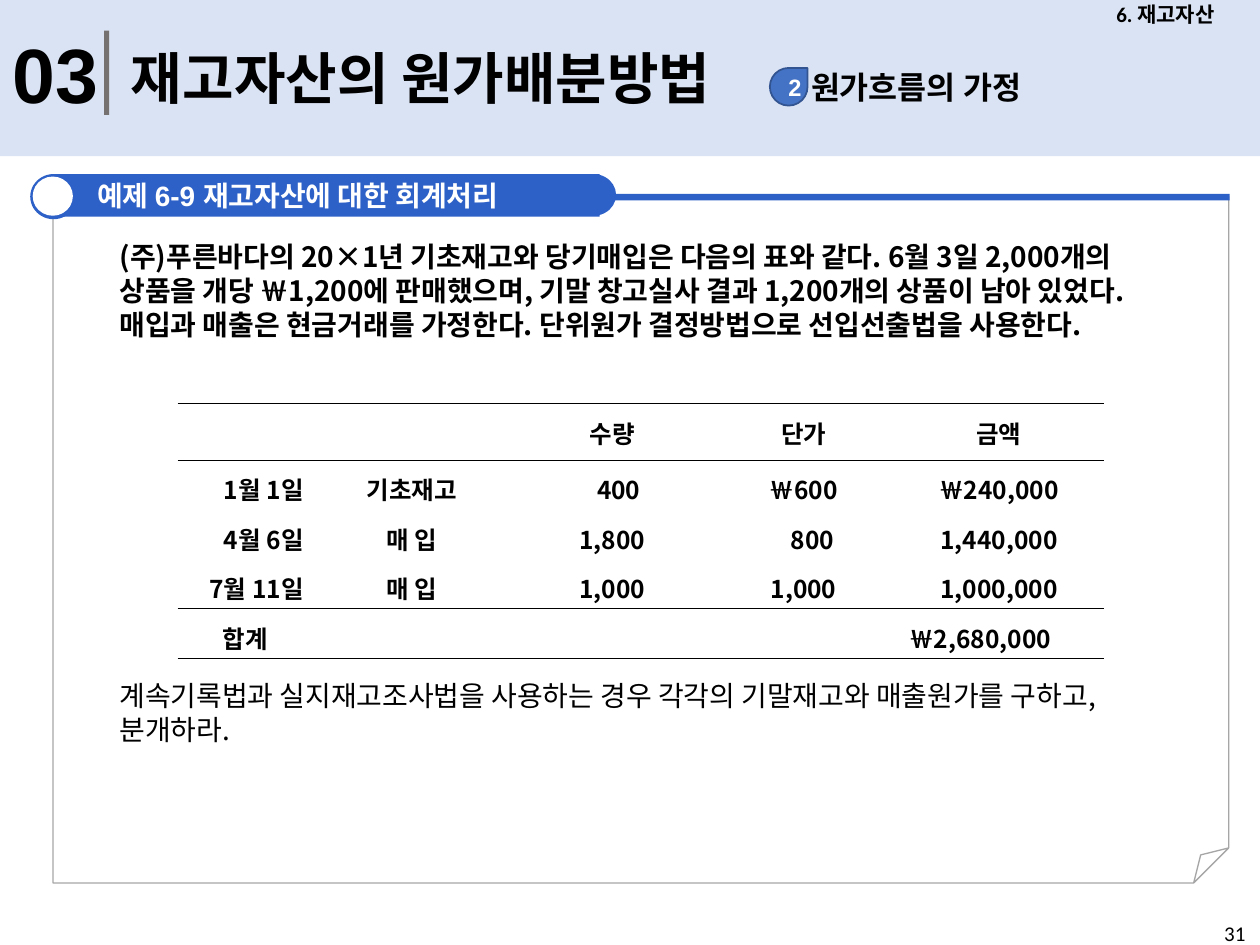
from dataclasses import dataclass
from typing import Optional

from lxml import etree
from pptx import Presentation
from pptx.dml.color import RGBColor
from pptx.enum.shapes import MSO_SHAPE
from pptx.enum.text import MSO_ANCHOR, MSO_AUTO_SIZE, PP_ALIGN
from pptx.oxml.ns import qn
from pptx.util import Cm, Pt

LEFT, CENTER, RIGHT = PP_ALIGN.LEFT, PP_ALIGN.CENTER, PP_ALIGN.RIGHT
TOP, MIDDLE = MSO_ANCHOR.TOP, MSO_ANCHOR.MIDDLE
RECT, OVAL = MSO_SHAPE.RECTANGLE, MSO_SHAPE.OVAL
TEARDROP, FOLDED = MSO_SHAPE.TEAR, MSO_SHAPE.FOLDED_CORNER
NO_AUTOFIT = MSO_AUTO_SIZE.NONE

COLORS = {
    "header": "DAE3F3", "badge": "4472C4", "badge_edge": "325491", "divider": "767171",
    "page_edge": "A6A6A6", "accent": "2D61C8", "white": "FFFFFF", "black": "000000",
}
KOREAN = "Noto Sans CJK KR"
INSETS = (0.25, 0.13, 0.25, 0.13)


@dataclass
class Box:
    left: float
    top: float
    width: float
    height: float

    def lengths(self):
        return Cm(self.left), Cm(self.top), Cm(self.width), Cm(self.height)


@dataclass
class Style:
    size: float
    font: str = KOREAN
    color: str = "black"
    bold: bool = True
    align: PP_ALIGN = LEFT
    spacing: Optional[float] = None


@dataclass
class Panel:
    kind: MSO_SHAPE
    box: Box
    fill: Optional[str] = None
    edge: Optional[str] = None
    edge_width: float = 0.75


def rgb(name: str) -> RGBColor:
    return RGBColor.from_string(COLORS[name])


def style_paragraph(paragraph, style: Style) -> None:
    paragraph.alignment = style.align
    if style.spacing:
        paragraph.line_spacing = Pt(style.spacing)
    font = paragraph.font
    font.size, font.bold, font.name = Pt(style.size), style.bold, style.font
    font.color.rgb = rgb(style.color)
    defaults = paragraph._p.pPr.find(qn("a:defRPr"))
    etree.SubElement(defaults, qn("a:ea")).set("typeface", KOREAN)


def set_frame(frame, insets=INSETS, anchor=TOP, wrap=True) -> None:
    frame.auto_size = NO_AUTOFIT
    frame.word_wrap = wrap
    frame.vertical_anchor = anchor
    (frame.margin_left, frame.margin_top,
     frame.margin_right, frame.margin_bottom) = map(Cm, insets)


def write(shape, text: str, style: Style, insets=INSETS, anchor=TOP, wrap=True) -> None:
    set_frame(shape.text_frame, insets, anchor, wrap)
    shape.text_frame.text = text
    style_paragraph(shape.text_frame.paragraphs[0], style)


def add_label(slide, box: Box, text: str, style: Style, anchor=TOP, wrap=True) -> None:
    write(slide.shapes.add_textbox(*box.lengths()), text, style, anchor=anchor, wrap=wrap)


def add_panel(slide, panel: Panel):
    shape = slide.shapes.add_shape(panel.kind, *panel.box.lengths())
    shape.shadow.inherit = False
    if panel.fill:
        shape.fill.solid()
        shape.fill.fore_color.rgb = rgb(panel.fill)
    else:
        shape.fill.background()
    if panel.edge:
        shape.line.color.rgb = rgb(panel.edge)
        shape.line.width = Pt(panel.edge_width)
    else:
        shape.line.fill.background()
    return shape


def set_fold(page, size: int) -> None:
    adjustments = page.element.spPr.find(qn("a:prstGeom")).get_or_add_avLst()
    etree.SubElement(adjustments, qn("a:gd"), name="adj", fmla=f"val {size}")


def place(placeholder, box: Box) -> None:
    placeholder.left, placeholder.top, placeholder.width, placeholder.height = box.lengths()
    placeholder.element.getparent().append(placeholder.element)


def set_borders(cell, ruled_sides: str) -> None:
    properties = cell._tc.get_or_add_tcPr()
    for position, side in enumerate("LRTB"):
        line = etree.Element(qn(f"a:ln{side}"), w=str(Pt(0.28)))
        if side in ruled_sides:
            fill = etree.SubElement(line, qn("a:solidFill"))
            etree.SubElement(fill, qn("a:srgbClr")).set("val", COLORS["black"])
        else:
            etree.SubElement(line, qn("a:noFill"))
        properties.insert(position, line)


INVENTORY = [
    ("", "", "수량", "단가", "금액"),
    ("1월 1일", "기초재고", "400", "￦600", "￦240,000"),
    ("4월 6일", "매 입", "1,800", "800", "1,440,000"),
    ("7월 11일", "매 입", "1,000", "1,000", "1,000,000"),
    ("합계", "", "", "", "￦2,680,000"),
]
COLUMN_WIDTHS = (2.72, 4.01, 4.06, 3.66, 4.22)
ROW_HEIGHTS = (1.14, 1, 1, 1, 1)
RULED_SIDES = ("TB", "T", "", "B", "TB")
LEFT_MARGINS = {(1, 2): 0.45, (2, 3): 0.54, (4, 4): 0.3}
ALIGNMENTS = {(1, 0): RIGHT, (2, 0): RIGHT, (3, 0): RIGHT, (4, 4): LEFT}


def add_inventory(slide, box: Box) -> None:
    table = slide.shapes.add_table(len(INVENTORY), len(COLUMN_WIDTHS), *box.lengths()).table
    table.first_row = table.horz_banding = False
    for column, width in zip(table.columns, COLUMN_WIDTHS):
        column.width = Cm(width)
    for r, (values, height) in enumerate(zip(INVENTORY, ROW_HEIGHTS)):
        table.rows[r].height = Cm(height)
        spacing = 21.8 if r == 0 else 25.3
        for c, value in enumerate(values):
            cell = table.cell(r, c)
            cell.fill.background()
            set_borders(cell, RULED_SIDES[r])
            cell.vertical_anchor = MIDDLE
            cell.margin_left = Cm(LEFT_MARGINS.get((r, c), 0.18))
            cell.margin_right = Cm(0.18)
            cell.margin_top = cell.margin_bottom = Cm(0.05)
            cell.text = value
            style = Style(14, align=ALIGNMENTS.get((r, c), CENTER), spacing=spacing)
            style_paragraph(cell.text_frame.paragraphs[0], style)


QUESTION = [
    ("(주)푸른바다의 20×1년 기초재고와 당기매입은 다음의 표와 같다. 6월 3일 2,000개의 상품을 "
     "개당 ￦1,200에 판매했으며, 기말 창고실사 결과 1,200개의 상품이 남아 있었다. 매입과 매출은 "
     "현금거래를 가정한다. 단위원가 결정방법으로 선입선출법을 사용한다.", True, 0),
    ("계속기록법과 실지재고조사법을 사용하는 경우 각각의 기말재고와 매출원가를 구하고, 분개하라.",
     False, 193),
]


def fill_question(body) -> None:
    frame = body.text_frame
    set_frame(frame, (0.28, 0.13, 0.28, 0.13))
    for index, (text, bold, gap) in enumerate(QUESTION):
        paragraph = frame.paragraphs[0] if index == 0 else frame.add_paragraph()
        paragraph.text = text
        properties = paragraph._p.get_or_add_pPr()
        properties.set("marL", "0")
        properties.set("indent", "0")
        etree.SubElement(properties, qn("a:buNone"))
        paragraph.space_before = Pt(gap)
        style_paragraph(paragraph, Style(16, bold=bold, spacing=19.3))


def main() -> None:
    deck = Presentation()
    deck.slide_width, deck.slide_height = Cm(25.4), Cm(19.05)
    slide = deck.slides.add_slide(deck.slide_layouts[1])
    title, body = slide.shapes.title, slide.placeholders[1]

    add_panel(slide, Panel(RECT, Box(0, 0, 25.4, 3.15), "header"))
    add_label(slide, Box(16.1, 1.24, 7.85, 1.02), "원가흐름의 가정", Style(18))
    badge = add_panel(slide, Panel(TEARDROP, Box(15.52, 1.37, 0.76, 0.76), "badge", "badge_edge", 1))
    write(badge, "2", Style(13.5, "Arial", "white", align=CENTER), (0.25, 0, 0, 0), MIDDLE, False)
    add_label(slide, Box(0, 0.41, 2.31, 2.13), "03", Style(44, "Arial"), wrap=False)
    add_panel(slide, Panel(RECT, Box(2.1, 0.62, 0.1, 1.7), "divider"))
    place(title, Box(2.39, 0.74, 16.71, 1.63))
    write(title, "재고자산의 원가배분방법", Style(32, "Calibri"), anchor=MIDDLE)
    chapter = Style(12, "Calibri", align=CENTER)
    add_label(slide, Box(21.59, 0, 3.81, 0.58), "6. 재고자산", chapter, MIDDLE)

    set_fold(add_panel(slide, Panel(FOLDED, Box(1.07, 3.96, 23.7, 13.84), edge="page_edge")), 5100)
    add_panel(slide, Panel(RECT, Box(1.09, 3.91, 23.7, 0.13), "accent"))
    add_panel(slide, Panel(OVAL, Box(0.61, 3.51, 0.94, 0.91), "accent"))
    add_panel(slide, Panel(OVAL, Box(11.51, 3.51, 0.91, 0.84), "accent"))
    heading = add_panel(slide, Panel(RECT, Box(1.09, 3.51, 11, 0.86), "accent"))
    heading_style = Style(16, "Arial", "white")
    write(heading, "예제 6-9 재고자산에 대한 회계처리", heading_style, (0.87, 0, 0, 0), MIDDLE)
    add_panel(slide, Panel(OVAL, Box(0.66, 3.56, 0.81, 0.79), "white"))

    place(body, Box(2.13, 4.7, 21.59, 12.57))
    fill_question(body)
    add_inventory(slide, Box(3.58, 8.13, sum(COLUMN_WIDTHS), sum(ROW_HEIGHTS)))
    page_number = Style(12, "Calibri", bold=False)
    add_label(slide, Box(24.43, 18.42, 0.97, 0.63), "31", page_number, wrap=False)
    deck.save("out.pptx")


if __name__ == "__main__":
    main()
